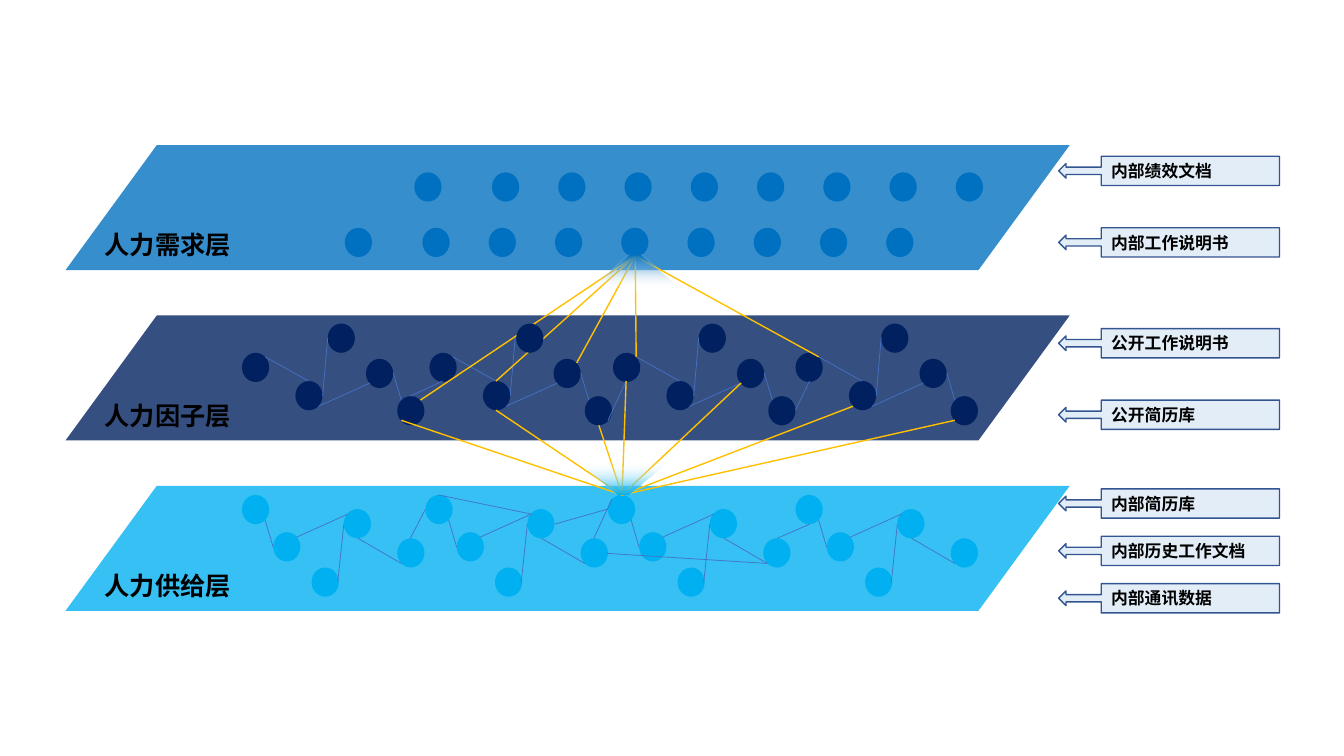
from itertools import product
from pptx import Presentation
from pptx.dml.color import RGBColor as RGB
from pptx.enum.shapes import MSO_CONNECTOR as LINK, MSO_SHAPE as SHAPE
from pptx.enum.text import MSO_ANCHOR as ANCHOR, PP_ALIGN as ALIGN
from pptx.oxml import parse_xml
from pptx.oxml.ns import nsdecls, qn
from pptx.oxml.xmlchemy import OxmlElement as Node
from pptx.util import Inches, Pt

NAVY = RGB(0x00, 0x20, 0x60)
BLUE = RGB(0x00, 0x70, 0xC0)
CYAN = RGB(0x00, 0xB0, 0xF0)
WIRE = RGB(0x44, 0x72, 0xC4)
GOLD = RGB(0xFF, 0xC0, 0x00)
PALE = RGB(0xBD, 0xD7, 0xEE)
EDGE = RGB(0x32, 0x54, 0x91)
BLACK = RGB(0x00, 0x00, 0x00)


class Board:
    """Style and current slide; lengths count one-inch grid cells."""
    font = "Noto Sans CJK SC"
    cell = Inches(1)
    dot_size = (0.27, 0.29)

    def __init__(self, deck):
        self.slide = deck.slides.add_slide(deck.slide_layouts[6])
        self.shapes = self.slide.shapes

    def span(self, *cells):
        return [int(n * self.cell) for n in cells]

    def shape(self, kind, box, color, alpha=100, adjust=()):
        item = self.shapes.add_shape(kind, *self.span(*box))
        item.shadow.inherit = False
        item.line.fill.background()
        for i, value in enumerate(adjust):
            item.adjustments[i] = value
        item.fill.solid()
        item.fill.fore_color.rgb = color
        if alpha < 100:
            node = Node("a:alpha")
            node.set("val", str(alpha * 1000))
            item._element.spPr.find(".//" + qn("a:srgbClr")).append(node)
        return item

    def label(self, frame, text, size):
        frame.word_wrap = True
        para = frame.paragraphs[0]
        para.text = text
        para.alignment = ALIGN.LEFT
        font = para.font
        font.name, font.size, font.bold = self.font, Pt(size), True
        font.color.rgb = BLACK
        east = Node("a:ea")
        east.set("typeface", self.font)
        para._p.find(".//" + qn("a:defRPr")).append(east)

    def layer(self, top, color, name):
        self.shape(SHAPE.PARALLELOGRAM, (0.65, top, 9.96, 1.24), color, 79, (0.73,))
        box = self.shapes.add_textbox(*self.span(0.94, top + 0.79, 1.74, 0.46))
        self.label(box.text_frame, name, 18)

    def dot(self, x, y, color):
        self.shape(SHAPE.OVAL, (x, y, *self.dot_size), color)

    def line(self, start, end, color, width):
        item = self.shapes.add_connector(LINK.STRAIGHT, *self.span(*start, *end))
        item.line.color.rgb = color
        item.line.width = Pt(width)
        item._element.spPr.append(Node("a:effectLst"))

    def source(self, top, text):
        item = self.shape(SHAPE.LEFT_ARROW_CALLOUT, (10.5, top, 2.19, 0.29),
                          PALE, 44, (0.25, 0.25, 0.25, 0.807))
        item.line.color.rgb = EDGE
        item.line.width = Pt(1)
        item.text_frame.vertical_anchor = ANCHOR.MIDDLE
        self.label(item.text_frame, text, 12)

    def glow(self, x, y, color, flip=False):
        item = self.shape(SHAPE.TRAPEZOID, (x, y, 0.88, 0.32), color, 100, (1.192,))
        props = item._element.spPr
        props.replace(props.find(qn("a:solidFill")), parse_xml(
            f'<a:gradFill {nsdecls("a")} rotWithShape="1"><a:gsLst>'
            '<a:gs pos="0"><a:srgbClr val="FFFFFF"><a:alpha val="0"/></a:srgbClr></a:gs>'
            f'<a:gs pos="100000"><a:srgbClr val="{color}"/></a:gs>'
            '</a:gsLst><a:lin ang="16200000" scaled="0"/></a:gradFill>'))
        if flip:
            props.find(qn("a:xfrm")).set("flipV", "1")

    def net(self, starts, dots, links, color, skip=None):
        """Repeat one cluster of dots and links at each start column."""
        for i, left in enumerate(starts):
            for j, (x, y) in enumerate(dots):
                if (i, j) != skip:
                    self.dot(left + x, y, color)
            for x1, y1, x2, y2 in links:
                self.line((left + x1, y1), (left + x2, y2), WIRE, 0.5)


deck = Presentation()
deck.slide_width, deck.slide_height = Inches(13.33), Inches(7.5)
board = Board(deck)

# Three layers
LAYERS = [(BLUE, "人力需求层"), (NAVY, "人力因子层"), (CYAN, "人力供给层")]
for i, (color, name) in enumerate(LAYERS):
    board.layer(1.44 + 1.69 * i, color, name)

# Demand dots: two rows, the upper one shifted right
COLS = [3.42] + [4.19 + 4.6 / 7 * i for i in range(8)]
for (shift, y), x in product([(0.69, 1.71), (0, 2.26)], COLS):
    board.dot(x + shift, y, BLUE)

# Factor clusters; one dot is left for the front
board.net([2.4, 4.26, 6.08, 7.89],
          [(0, 3.5), (0.53, 3.78), (0.85, 3.21), (1.23, 3.56), (1.54, 3.93)],
          [(0.23, 3.54, 0.66, 3.78), (0.8, 3.93, 0.85, 3.35),
           (0.76, 4.03, 1.27, 3.8), (1.5, 3.7, 1.58, 3.97)],
          NAVY, skip=(1, 2))

# Supply clusters
board.net([2.4, 4.22, 6.03, 7.89],
          [(0, 4.91), (0.31, 5.28), (0.69, 5.63), (1.01, 5.05), (1.54, 5.34)],
          [(1.58, 5.59, 1.15, 5.34), (1.01, 5.2, 0.95, 5.78),
           (1.05, 5.1, 0.54, 5.33), (0.31, 5.43, 0.23, 5.16)],
          CYAN)

# Links between clusters
BRIDGES = [
    (4.39, 3.78, 4.07, 3.93), (6.21, 3.78, 6.03, 4.17), (8.03, 3.78, 7.89, 4.07),
    (7.71, 5.34, 8.03, 5.2), (5.89, 5.34, 6.07, 4.95), (4.07, 5.34, 4.22, 5.05),
    (5.27, 5.1, 4.35, 4.91), (6.03, 5.05, 5.5, 5.2), (7.61, 5.59, 6.02, 5.49),
]
for x1, y1, x2, y2 in BRIDGES:
    board.line((x1, y1), (x2, y2), WIRE, 0.5)

# Gold fans from one supply dot and one demand dot
FANS = {
    (6.17, 4.91): [(5.94, 4.22), (6.21, 3.78), (4.92, 4.07), (3.98, 4.17),
                   (9.47, 4.17), (7.35, 3.8), (8.46, 4.03)],
    (6.3, 2.54): [(4.17, 3.97), (8.12, 3.54), (4.92, 3.78), (5.72, 3.6), (6.31, 3.54)],
}
for hub, ends in FANS.items():
    for end in ends:
        board.line(hub, end, GOLD, 1)
board.dot(5.12, 3.21, NAVY)

# Data sources
SOURCES = [
    (1.55, "内部绩效文档"), (2.26, "内部工作说明书"), (3.26, "公开工作说明书"),
    (3.97, "公开简历库"), (4.85, "内部简历库"), (5.32, "内部历史工作文档"),
    (5.79, "内部通讯数据"),
]
for top, text in SOURCES:
    board.source(top, text)

# Glows at the fan hubs
board.glow(5.86, 2.53, BLUE)
board.glow(5.74, 4.59, CYAN, flip=True)

deck.save("out.pptx")
